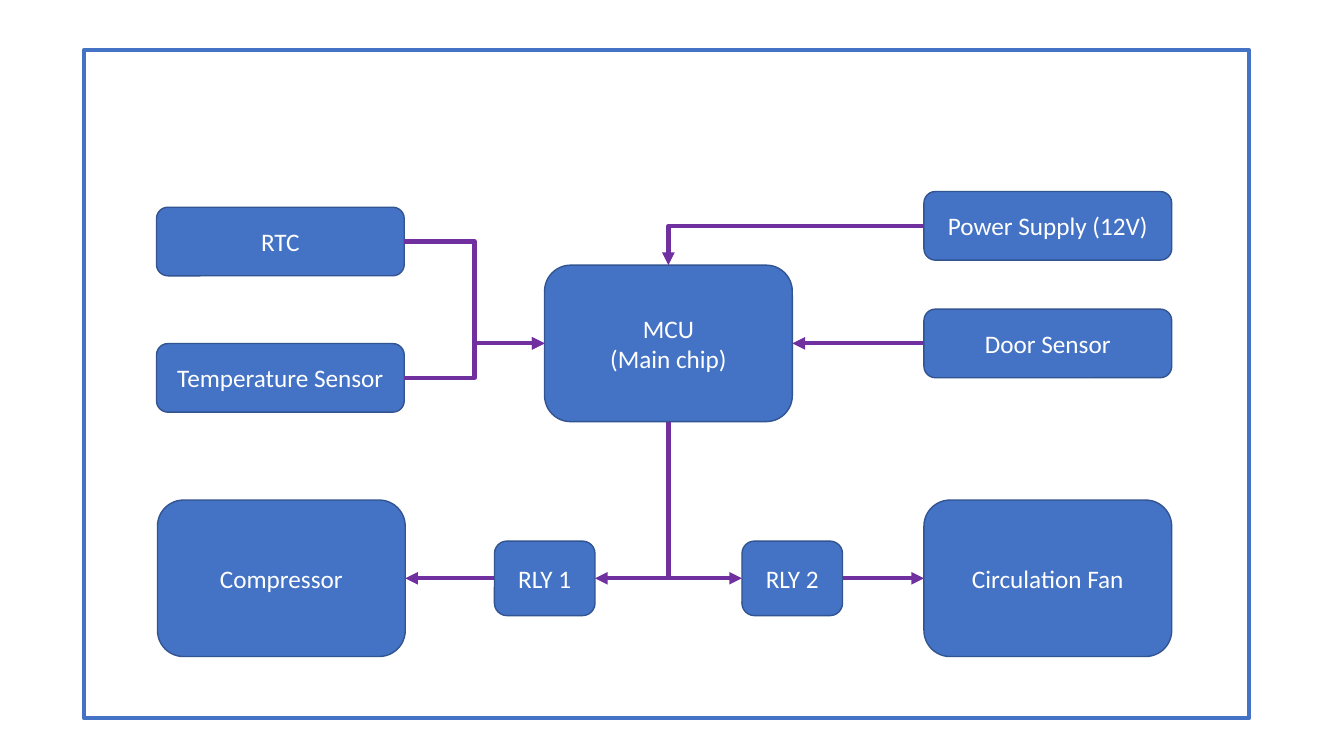
from lxml import etree
from pptx import Presentation
from pptx.dml.color import RGBColor
from pptx.enum.shapes import MSO_CONNECTOR as Connector, MSO_SHAPE as Shape
from pptx.enum.text import MSO_ANCHOR as Anchor, PP_ALIGN as Align
from pptx.oxml.ns import qn
from pptx.util import Pt

BLUE = RGBColor(0x44, 0x72, 0xC4)
DARK_BLUE = RGBColor(0x32, 0x54, 0x91)
PURPLE = RGBColor(0x70, 0x30, 0xA0)
WHITE = RGBColor(0xFF, 0xFF, 0xFF)

# Connection sites of a rounded rectangle
TOP, LEFT, BOTTOM, RIGHT = range(4)

# Block sizes: width, height
LARGE, WIDE, SMALL = (177, 111.8), (177, 49), (71.8, 53.2)

# Label: left, top (within the frame), size
MCU = "MCU\n(Main chip)"
BLOCKS = {
    MCU: (329, 153.6, LARGE),
    "Compressor": (52.5, 321.4, LARGE),
    "Circulation Fan": (600, 321.4, LARGE),
    "RTC": (51.8, 112.2, WIDE),
    "Temperature Sensor": (51.8, 209.6, WIDE),
    "Power Supply (12V)": (600, 101, WIDE),
    "Door Sensor": (600, 185, WIDE),
    "RLY 1": (293.2, 350.7, SMALL),
    "RLY 2": (470, 350.7, SMALL),
}

# Start block and site, end block and site, preset, arrowhead
STRAIGHT, ONE_BEND, TWO_BENDS = "straightConnector1", "bentConnector2", "bentConnector3"
AT_START, AT_END = "a:headEnd", "a:tailEnd"
LINKS = [
    ("RTC", RIGHT, MCU, LEFT, TWO_BENDS, AT_END),
    ("Temperature Sensor", RIGHT, MCU, LEFT, TWO_BENDS, AT_END),
    ("Power Supply (12V)", LEFT, MCU, TOP, ONE_BEND, AT_END),
    ("Door Sensor", LEFT, MCU, RIGHT, STRAIGHT, AT_END),
    ("RLY 1", RIGHT, MCU, BOTTOM, ONE_BEND, AT_START),
    ("RLY 2", LEFT, MCU, BOTTOM, ONE_BEND, AT_START),
    ("RLY 1", LEFT, "Compressor", RIGHT, STRAIGHT, AT_END),
    ("RLY 2", RIGHT, "Circulation Fan", LEFT, STRAIGHT, AT_END),
]


def add_frame(slide, left, top, width, height):
    frame = slide.shapes.add_shape(Shape.RECTANGLE, Pt(left), Pt(top), Pt(width), Pt(height))
    frame.shadow.inherit = False
    frame.fill.background()
    frame.line.color.rgb = BLUE
    frame.line.width = Pt(3)


def add_block(slide, label, left, top, width, height):
    block = slide.shapes.add_shape(
        Shape.ROUNDED_RECTANGLE, Pt(left), Pt(top), Pt(width), Pt(height))
    block.shadow.inherit = False
    block.fill.solid()
    block.fill.fore_color.rgb = BLUE
    block.line.color.rgb = DARK_BLUE
    block.line.width = Pt(1)
    text_frame = block.text_frame
    text_frame.text = label
    text_frame.word_wrap = True
    text_frame.vertical_anchor = Anchor.MIDDLE
    for paragraph in text_frame.paragraphs:
        paragraph.alignment = Align.CENTER
        paragraph.font.name = "Calibri"
        paragraph.font.size = Pt(18)
        paragraph.font.color.rgb = WHITE
    return block


def add_link(slide, start, start_site, end, end_site, preset, arrowhead):
    kind = Connector.STRAIGHT if preset == STRAIGHT else Connector.ELBOW
    link = slide.shapes.add_connector(kind, 0, 0, 0, 0)
    link.begin_connect(start, start_site)
    link.end_connect(end, end_site)
    link.line.color.rgb = PURPLE
    link.line.width = Pt(3)
    properties = link._element.spPr
    properties.find(qn("a:prstGeom")).set("prst", preset)
    etree.SubElement(properties.find(qn("a:ln")), qn(arrowhead), type="triangle")
    etree.SubElement(properties, qn("a:effectLst"))


def add_diagram(slide, left, top, width, height):
    add_frame(slide, left, top, width, height)
    blocks = {label: add_block(slide, label, left + x, top + y, *size)
              for label, (x, y, size) in BLOCKS.items()}
    for start, start_site, end, end_site, preset, arrowhead in LINKS:
        add_link(slide, blocks[start], start_site, blocks[end], end_site, preset, arrowhead)


presentation = Presentation()
presentation.slide_width, presentation.slide_height = Pt(960), Pt(540)
blank_layout = presentation.slide_layouts[6]
slide = presentation.slides.add_slide(blank_layout)
add_diagram(slide, 60, 35.8, 832.2, 477.2)
presentation.save("out.pptx")
